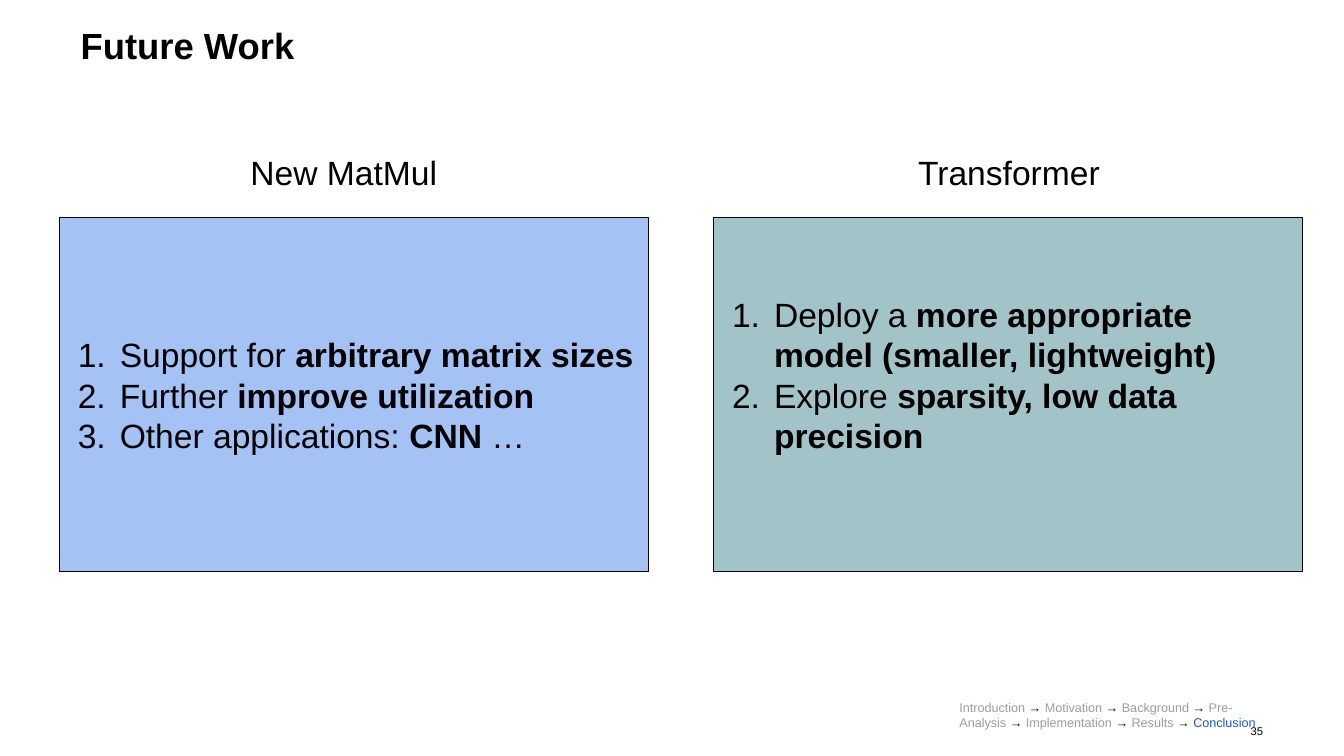
"""Build the Future Work slide: two plan panels with a progress trail."""
from dataclasses import dataclass

from lxml import etree
from pptx import Presentation
from pptx.dml.color import RGBColor
from pptx.enum.shapes import MSO_SHAPE
from pptx.enum.text import MSO_ANCHOR, PP_ALIGN
from pptx.oxml.ns import qn
from pptx.util import Pt

RECTANGLE = MSO_SHAPE.RECTANGLE
TOP, MIDDLE = MSO_ANCHOR.TOP, MSO_ANCHOR.MIDDLE
LEFT, CENTER, RIGHT = PP_ALIGN.LEFT, PP_ALIGN.CENTER, PP_ALIGN.RIGHT


@dataclass(frozen=True)
class Theme:
    font: str = "Arial"
    ink: str = "000000"
    muted: str = "9E9E9E"
    current: str = "215CAF"
    blue: str = "A4C2F4"
    teal: str = "A2C4C9"
    title: int = 26
    body: int = 24
    trail: int = 9
    number: int = 8


theme = Theme()


def add_text(p, text, size=theme.body, color=theme.ink, bold=False):
    r = p.add_run()
    r.text = text
    r.font.name = theme.font
    r.font.size = Pt(size)
    r.font.bold = bold
    r.font.color.rgb = RGBColor.from_string(color)


def set_frame(sp, inset=7.2, anchor=TOP, align=LEFT):
    tf = sp.text_frame
    tf.word_wrap = True
    tf.vertical_anchor = anchor
    tf.margin_left = tf.margin_top = tf.margin_right = tf.margin_bottom = Pt(inset)
    tf.paragraphs[0].alignment = align
    return tf


prs = Presentation()
prs.slide_width, prs.slide_height = Pt(960), Pt(540)
s = prs.slides.add_slide(prs.slide_layouts[6])

sp = s.shapes.add_textbox(Pt(57.6), Pt(20.2), Pt(844.6), Pt(70.6))
p = set_frame(sp, inset=0).paragraphs[0]
p.line_spacing = 0.9
add_text(p, "Future Work", size=theme.title, bold=True)

sp = s.shapes.add_textbox(Pt(877), Pt(513.4), Pt(25.2), Pt(17.3))
p = set_frame(sp, inset=0, anchor=MIDDLE, align=RIGHT).paragraphs[0]
add_text(p, "35", size=theme.number)

panels = [
    ("New MatMul", 42.5, 151.9, theme.blue, 7.2, [
        ("Support for ", "arbitrary matrix sizes", ""),
        ("Further ", "improve utilization", ""),
        ("Other applications: ", "CNN", " …"),
    ]),
    ("Transformer", 509.8, 627.1, theme.teal, 36, [
        ("Deploy a ", "more appropriate model (smaller, lightweight)", ""),
        ("Explore ", "sparsity, low data precision", ""),
    ]),
]
for heading, left, heading_left, fill, bottom_inset, items in panels:
    sp = s.shapes.add_shape(RECTANGLE, Pt(left), Pt(155.5), Pt(420.5), Pt(252.7))
    sp.shadow.inherit = False
    sp.fill.solid()
    sp.fill.fore_color.rgb = RGBColor.from_string(fill)
    sp.line.color.rgb = RGBColor.from_string(theme.ink)
    sp.line.width = Pt(0.75)
    tf = set_frame(sp, anchor=MIDDLE)
    tf.margin_bottom = Pt(bottom_inset)
    for i, (lead, strong, tail) in enumerate(items):
        p = tf.add_paragraph() if i else tf.paragraphs[0]
        p.alignment = LEFT
        pPr = p._p.get_or_add_pPr()
        pPr.set("marL", str(Pt(36)))
        pPr.set("indent", str(Pt(-30)))
        color = etree.SubElement(pPr, qn("a:buClr"))
        etree.SubElement(color, qn("a:srgbClr"), val=theme.ink)
        etree.SubElement(pPr, qn("a:buSzPct"), val="100000")
        etree.SubElement(pPr, qn("a:buFont"), typeface=theme.font)
        etree.SubElement(pPr, qn("a:buAutoNum"), type="arabicPeriod")
        add_text(p, lead)
        add_text(p, strong, bold=True)
        if tail:
            add_text(p, tail)

    sp = s.shapes.add_textbox(Pt(heading_left), Pt(101.5), Pt(187.2), Pt(43.9))
    add_text(set_frame(sp, align=CENTER).paragraphs[0], heading)

sp = s.shapes.add_textbox(Pt(678.2), Pt(492.5), Pt(231.8), Pt(47.5))
p = set_frame(sp).paragraphs[0]
for step in ("Introduction", "Motivation", "Background", "Pre-Analysis",
             "Implementation", "Results"):
    add_text(p, step + " ", size=theme.trail, color=theme.muted)
    add_text(p, "→ ", size=theme.trail)
add_text(p, "Conclusion", size=theme.trail, color=theme.current)

prs.save("out.pptx")
